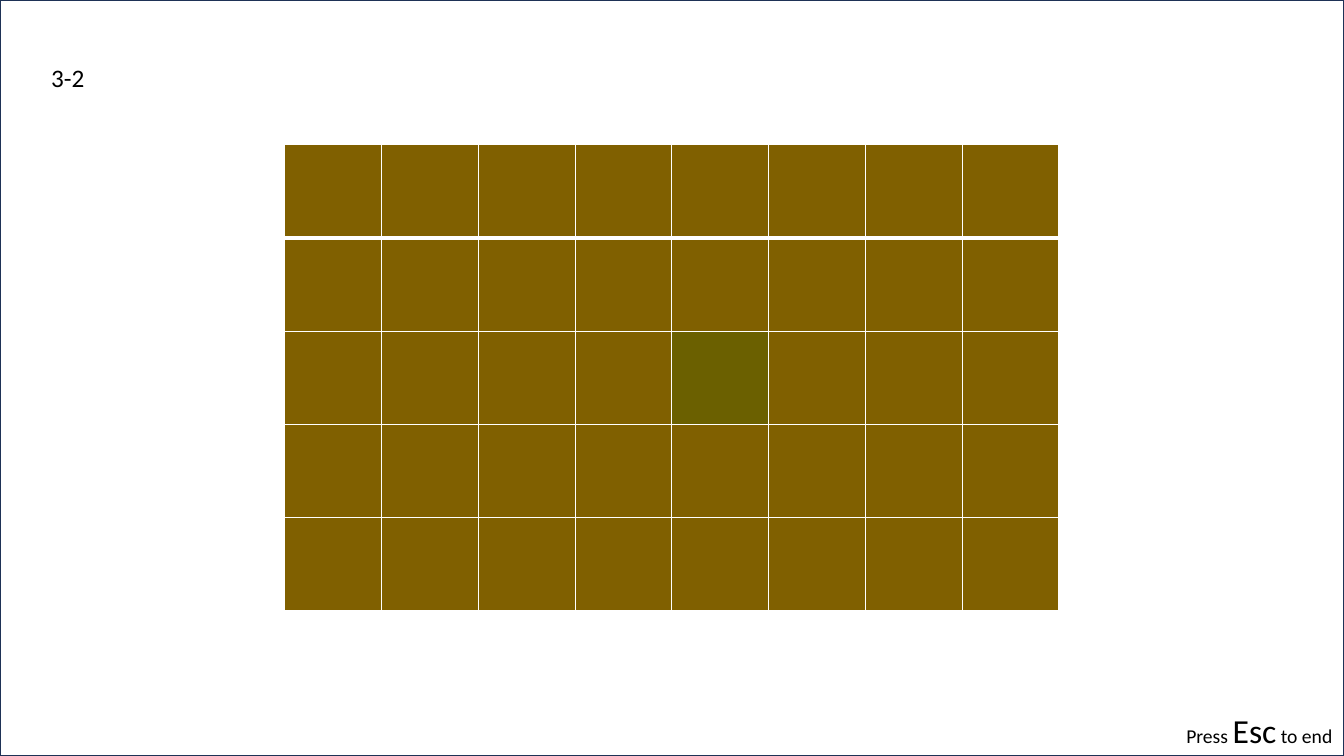
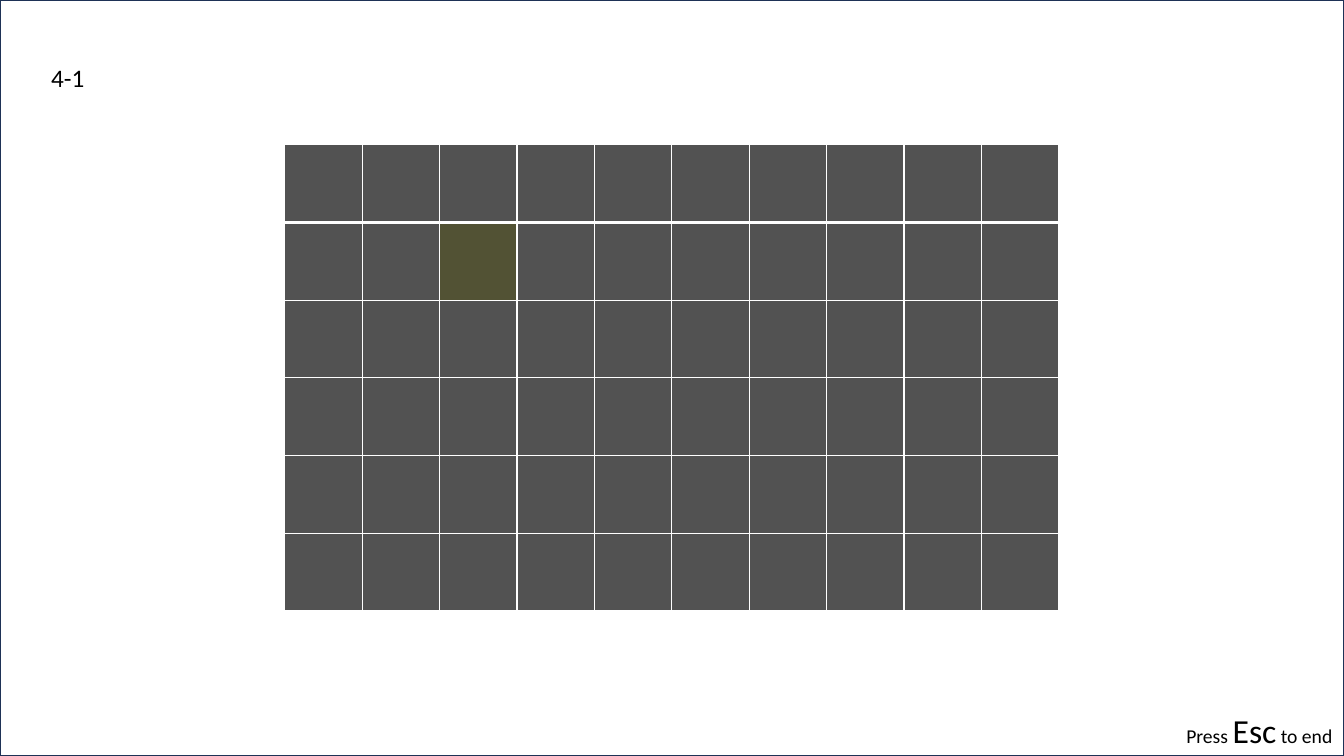
from dataclasses import dataclass

from lxml.etree import SubElement
from pptx import Presentation
from pptx.dml.color import RGBColor
from pptx.enum.shapes import MSO_SHAPE as Shape
from pptx.enum.text import MSO_AUTO_SIZE as AutoSize
from pptx.oxml.ns import qn
from pptx.slide import Slide
from pptx.table import _Cell as Cell
from pptx.util import Pt

WHITE = RGBColor(0xFF, 0xFF, 0xFF)
BLACK = RGBColor(0x00, 0x00, 0x00)
NAVY = RGBColor(0x1E, 0x32, 0x56)
BROWN = RGBColor(0x80, 0x60, 0x00)
OLIVE = RGBColor(0x6B, 0x60, 0x00)
GREY = RGBColor(0x52, 0x52, 0x52)
MOSS = RGBColor(0x52, 0x52, 0x34)

PAGE_WIDTH, PAGE_HEIGHT = 960, 540
GRID_WIDTH, GRID_HEIGHT = 553, 333
THIN_BORDER, THICK_BORDER = 1, 3
BLANK_LAYOUT = 6
TEXT_FORMAT = {"name": "Calibri"}
FRAME_FORMAT = {"word_wrap": False, "auto_size": AutoSize.SHAPE_TO_FIT_TEXT}


@dataclass(frozen=True)
class Span:
    text: str
    size: float


@dataclass(frozen=True)
class TextBox:
    left: float
    top: float
    width: float
    height: float
    spans: tuple[Span, ...]


@dataclass(frozen=True)
class Puzzle:
    label: str
    rows: int
    columns: int
    colour: RGBColor
    odd_colour: RGBColor
    odd_cell: tuple[int, int]


FOOTER = TextBox(840.25, 503.5, 119.75, 36,
                 (Span("Press ", 14), Span("Esc", 24), Span(" to end", 14)))

PUZZLES = (
    Puzzle("3-2", 5, 8, BROWN, OLIVE, (2, 4)),
    Puzzle("4-1", 6, 10, GREY, MOSS, (1, 2)),
)


def set_borders(cell: Cell, widths: dict[str, float]) -> None:
    properties = cell._tc.get_or_add_tcPr()
    for position, (side, width) in enumerate(widths.items()):
        line = SubElement(properties, qn(f"a:ln{side}"), w=str(Pt(width)))
        fill = SubElement(line, qn("a:solidFill"))
        SubElement(fill, qn("a:srgbClr"), val=str(WHITE))
        properties.insert(position, line)


def draw_grid(page: Slide, puzzle: Puzzle) -> None:
    table = page.shapes.add_table(
        puzzle.rows, puzzle.columns,
        Pt((PAGE_WIDTH - GRID_WIDTH) / 2), Pt((PAGE_HEIGHT - GRID_HEIGHT) / 2),
        Pt(GRID_WIDTH), Pt(GRID_HEIGHT)).table
    for column in table.columns:
        column.width = Pt(GRID_WIDTH / puzzle.columns)
    for row_index, row in enumerate(table.rows):
        row.height = Pt(GRID_HEIGHT / puzzle.rows)
        borders = {
            "L": THIN_BORDER,
            "R": THIN_BORDER,
            "T": THICK_BORDER if row_index == 1 else THIN_BORDER,
            "B": THICK_BORDER if row_index == 0 else THIN_BORDER,
        }
        for column_index, cell in enumerate(row.cells):
            is_odd = (row_index, column_index) == puzzle.odd_cell
            cell.fill.solid()
            cell.fill.fore_color.rgb = puzzle.odd_colour if is_odd else puzzle.colour
            set_borders(cell, borders)


def draw_text(page: Slide, spec_box: TextBox) -> None:
    box = page.shapes.add_textbox(Pt(spec_box.left), Pt(spec_box.top),
                                  Pt(spec_box.width), Pt(spec_box.height))
    for name, value in FRAME_FORMAT.items():
        setattr(box.text_frame, name, value)
    para = box.text_frame.paragraphs[0]
    for span in spec_box.spans:
        run = para.add_run()
        run.text = span.text
        for name, value in (TEXT_FORMAT | {"size": Pt(span.size)}).items():
            setattr(run.font, name, value)
        run.font.color.rgb = BLACK


def draw_outline(page: Slide) -> None:
    outline = page.shapes.add_shape(Shape.RECTANGLE, 0, 0, Pt(PAGE_WIDTH), Pt(PAGE_HEIGHT))
    outline.shadow.inherit = False
    outline.fill.background()
    outline.line.color.rgb = NAVY
    outline.line.width = Pt(1)


def main() -> None:
    deck = Presentation()
    deck.slide_width, deck.slide_height = Pt(PAGE_WIDTH), Pt(PAGE_HEIGHT)
    for puzzle in PUZZLES:
        page = deck.slides.add_slide(deck.slide_layouts[BLANK_LAYOUT])
        draw_grid(page, puzzle)
        draw_text(page, TextBox(29.5, 41, 39, 29, (Span(puzzle.label, 18),)))
        draw_outline(page)
        draw_text(page, FOOTER)
    deck.save("out.pptx")


if __name__ == "__main__":
    main()
